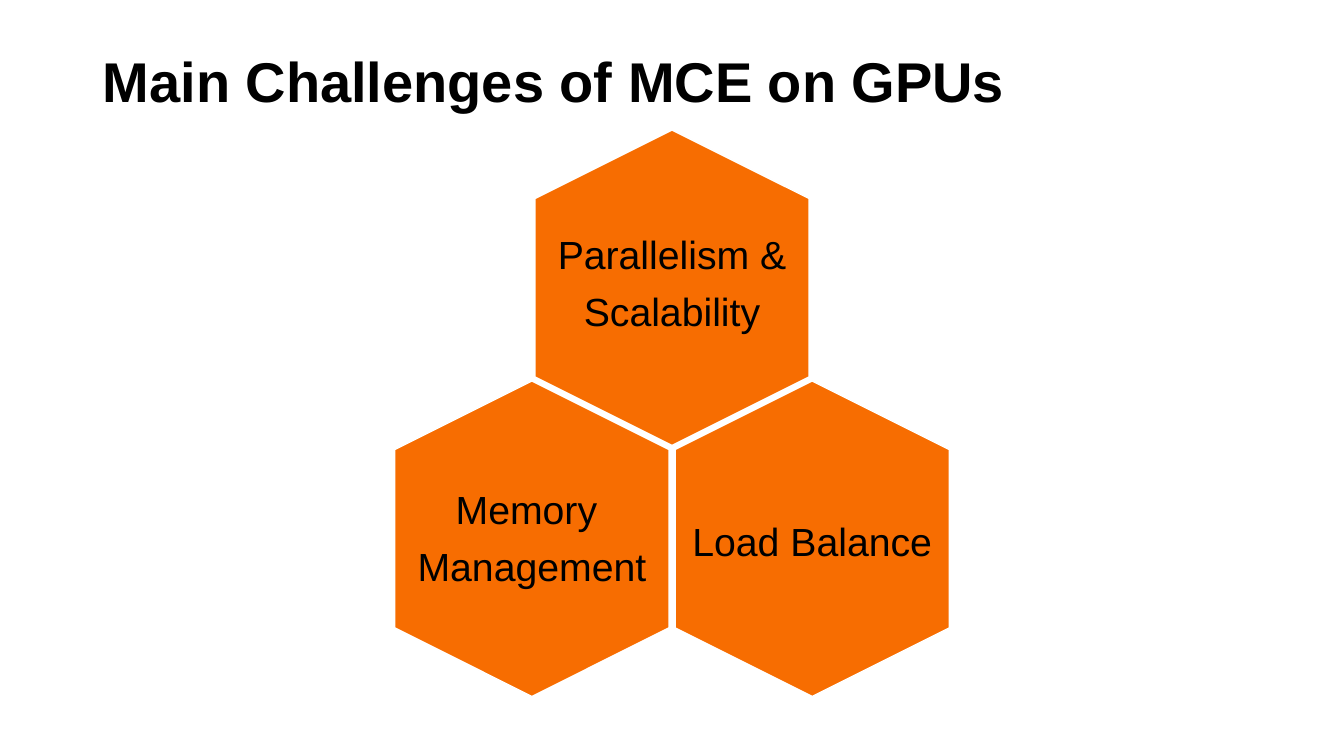
from dataclasses import dataclass

from pptx import Presentation
from pptx import util as u
from pptx.dml.color import RGBColor
from pptx.enum import shapes, text


@dataclass(frozen=True)
class Theme:
    font: str = "Arial"
    ink: RGBColor = RGBColor(0, 0, 0)
    paper: RGBColor = RGBColor(255, 255, 255)
    cell: RGBColor = RGBColor(0xF7, 0x6D, 0x01)
    title_size: int = 40
    label_size: int = 28


THEME = Theme()
SLIDE_W, SLIDE_H = 13.33, 7.5
CELL_LONG, CELL_SHORT = 3.13, 2.72
COLUMN, ROW = 1.39, 2.49
CHALLENGES = [
    (1, 0, ["Parallelism &", "Scalability"], -0.1),
    (2, 1, ["Load Balance"], 0.02),
    (0, 1, ["Memory ", "Management"], -0.06),
]


def inches(*lengths):
    return [u.Inches(length) for length in lengths]


def write(frame, lines, *, size, bold=False, align=text.PP_ALIGN.CENTER,
          spacing=1.0, wrap=True):
    frame.word_wrap = wrap
    frame.vertical_anchor = text.MSO_ANCHOR.MIDDLE
    for index, line in enumerate(lines):
        paragraph = frame.add_paragraph() if index else frame.paragraphs[0]
        paragraph.alignment = align
        paragraph.line_spacing = spacing
        run = paragraph.add_run()
        run.text = line
        run.font.name = THEME.font
        run.font.size = u.Pt(size)
        run.font.bold = bold
        run.font.color.rgb = THEME.ink


def add_heading(slide, box, wording):
    heading = slide.shapes.title
    heading.left, heading.top, heading.width, heading.height = inches(*box)
    write(heading.text_frame, [wording], size=THEME.title_size, bold=True,
          align=text.PP_ALIGN.LEFT, spacing=0.9)
    heading.text_frame.auto_size = text.MSO_AUTO_SIZE.NONE


def add_cell(slide, center_x, center_y):
    cell = slide.shapes.add_shape(
        shapes.MSO_SHAPE.HEXAGON,
        *inches(center_x - CELL_LONG / 2, center_y - CELL_SHORT / 2,
                CELL_LONG, CELL_SHORT))
    cell.adjustments[0] = 0.25
    cell.rotation = 90
    cell.shadow.inherit = False
    cell.fill.solid()
    cell.fill.fore_color.rgb = THEME.cell
    cell.line.color.rgb = THEME.paper
    cell.line.width = u.Pt(1)


def add_label(slide, center_x, center_y, lines):
    width = 2.5 if len(lines) > 1 else 2.61
    height = 1.18 if len(lines) > 1 else 0.57
    label = slide.shapes.add_textbox(
        *inches(center_x - width / 2, center_y - height / 2, width, height))
    write(label.text_frame, lines, size=THEME.label_size,
          spacing=1.2 if len(lines) > 1 else 1.0, wrap=False)
    label.text_frame.auto_size = text.MSO_AUTO_SIZE.SHAPE_TO_FIT_TEXT


def add_honeycomb(slide, box):
    left, top, width, height = box
    centers = [(left + CELL_SHORT / 2 + column * COLUMN,
                top + CELL_LONG / 2 + row * ROW)
               for column, row, _, _ in CHALLENGES]
    for center in centers:
        add_cell(slide, *center)
    for (x, y), (_, _, lines, shift) in zip(centers, CHALLENGES):
        add_label(slide, x, y + shift, lines)


def main():
    deck = Presentation()
    deck.slide_width, deck.slide_height = inches(SLIDE_W, SLIDE_H)
    slide = deck.slides.add_slide(deck.slide_layouts[5])
    add_heading(slide, (0.92, 0.4, 11.5, 0.88),
                "Main Challenges of MCE on GPUs")
    comb_width = CELL_SHORT + 2 * COLUMN
    add_honeycomb(slide, ((SLIDE_W - comb_width) / 2, 1.29,
                          comb_width, CELL_LONG + ROW))
    deck.save("out.pptx")


if __name__ == "__main__":
    main()
